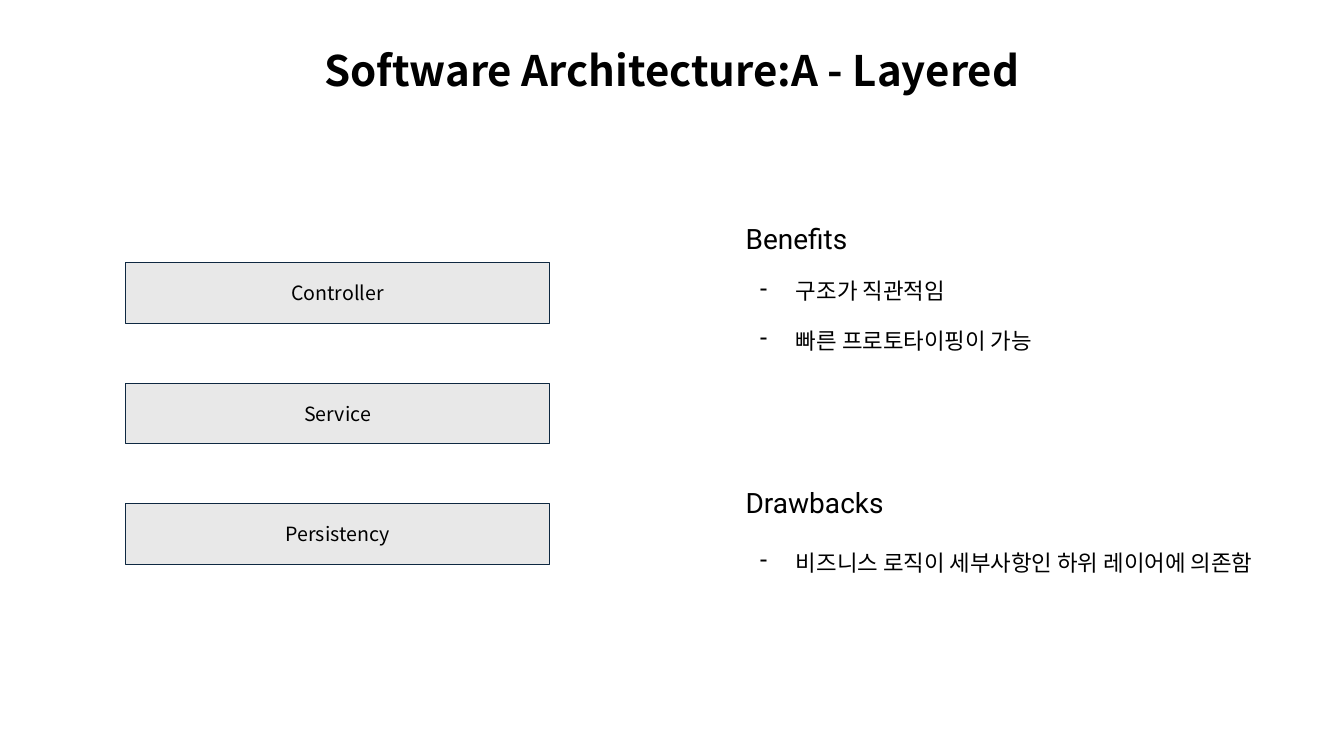
import pptx
import pptx.dml.color
import pptx.enum.shapes
import pptx.enum.text
import pptx.oxml.ns
import pptx.util
from lxml import etree

Cm, Pt = pptx.util.Cm, pptx.util.Pt
ALIGN = pptx.enum.text.PP_ALIGN
ANCHOR = pptx.enum.text.MSO_ANCHOR
COLORS = {"text": "000000", "layer": "E8E8E8", "border": "0E2841"}
KOREAN, LATIN = "Noto Sans CJK KR", "Roboto"


def color(key):
    return pptx.dml.color.RGBColor.from_string(COLORS[key])


def write(paragraph, text, size, font=KOREAN, bold=False, align=ALIGN.LEFT,
          before=0, spacing=None, bullet=None):
    """Fill one paragraph with formatted text."""
    paragraph.alignment = align
    paragraph.space_before = Pt(before)
    if spacing:
        paragraph.line_spacing = spacing
    if bullet:
        properties = paragraph._p.get_or_add_pPr()
        properties.set("marL", str(Cm(1.27)))
        properties.set("indent", str(Cm(-0.91)))
        etree.SubElement(properties, pptx.oxml.ns.qn("a:buChar")).set("char", bullet)
    run = paragraph.add_run()
    run.text = text
    run.font.size, run.font.name, run.font.bold = Pt(size), font, bold
    run.font.color.rgb = color("text")
    east_asian = etree.SubElement(run._r.get_or_add_rPr(), pptx.oxml.ns.qn("a:ea"))
    east_asian.set("typeface", KOREAN)


def text_frame(slide, left, top, width, height, anchor=ANCHOR.TOP):
    frame = slide.shapes.add_textbox(Cm(left), Cm(top), Cm(width), Cm(height)).text_frame
    frame.word_wrap = True
    frame.vertical_anchor = anchor
    return frame


def add_title(slide, text, left, top, width, height):
    frame = text_frame(slide, left, top, width, height, ANCHOR.MIDDLE)
    write(frame.paragraphs[0], text, 30, bold=True, align=ALIGN.CENTER, spacing=0.9)


def add_layers(slide, names, left, top, width, height):
    """Stack equal boxes, with gaps nearly as tall as the boxes."""
    layer_height = 1.53
    pitch = (height - layer_height) / (len(names) - 1)
    for index, name in enumerate(names):
        layer = slide.shapes.add_shape(
            pptx.enum.shapes.MSO_SHAPE.RECTANGLE,
            Cm(left), Cm(top + index * pitch), Cm(width), Cm(layer_height))
        layer.shadow.inherit = False
        layer.fill.solid()
        layer.fill.fore_color.rgb = color("layer")
        layer.line.color.rgb = color("border")
        layer.line.width = Pt(0.75)
        layer.text_frame.vertical_anchor = ANCHOR.MIDDLE
        write(layer.text_frame.paragraphs[0], name, 14, align=ALIGN.CENTER)


def add_points(slide, heading, points, gap, left, top, width, height):
    """Write a heading and its dashed points, set apart by the gap."""
    frame = text_frame(slide, left, top, width, height)
    write(frame.paragraphs[0], heading, 20, font=LATIN)
    for point in points:
        write(frame.add_paragraph(), point, 16, font=LATIN, before=gap, bullet="-")


def main():
    deck = pptx.Presentation()
    deck.slide_width, deck.slide_height = Cm(33.87), Cm(19.05)
    slide = deck.slides.add_slide(deck.slide_layouts[6])

    # Title
    add_title(slide, "Software Architecture:A - Layered", 0, 0, 33.87, 3.68)

    # Layer stack
    add_layers(slide, ["Controller", "Service", "Persistency"], 3.16, 6.62, 10.7, 7.6)

    # Benefits and drawbacks
    add_points(slide, "Benefits", ["구조가 직관적임", "빠른 프로토타이핑이 가능"],
               16, 18.54, 5.46, 14.73, 3.86)
    add_points(slide, "Drawbacks", ["비즈니스 로직이 세부사항인 하위 레이어에 의존함"],
               21, 18.54, 12.12, 13.46, 2.64)

    deck.save("out.pptx")


if __name__ == "__main__":
    main()
